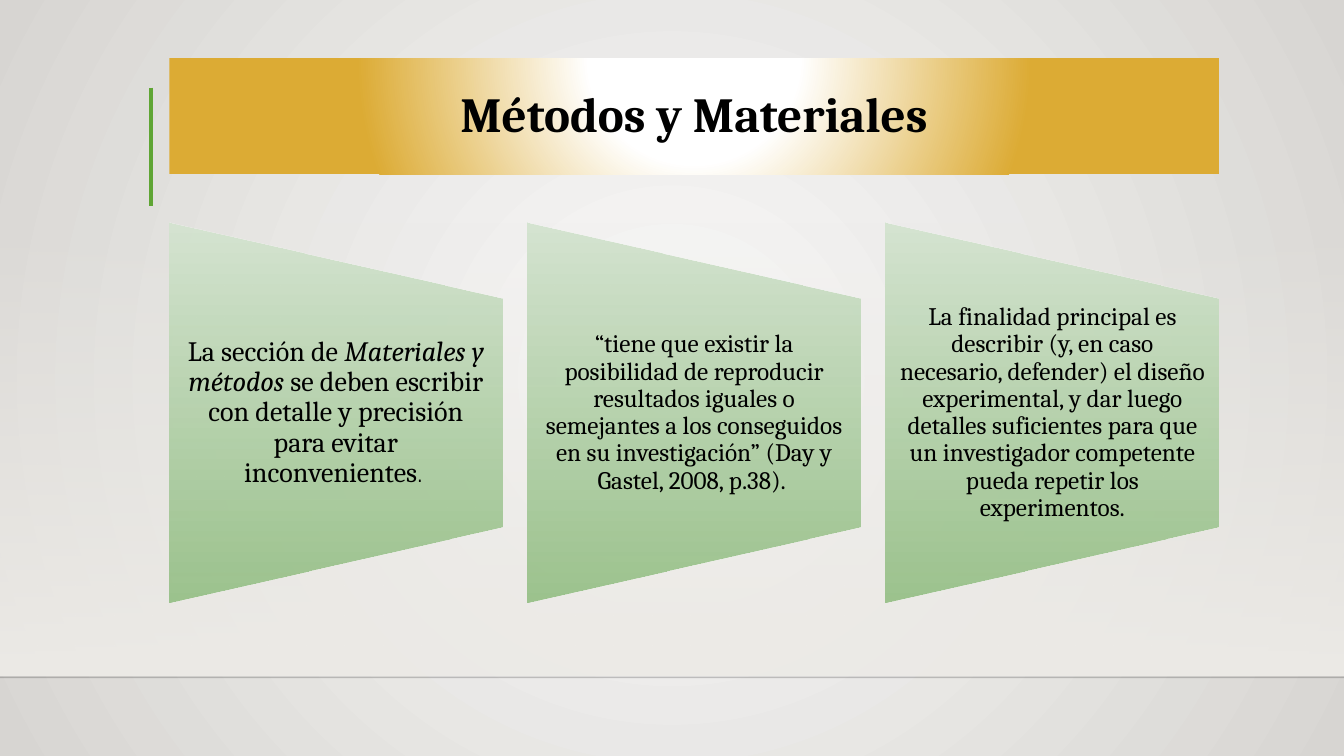
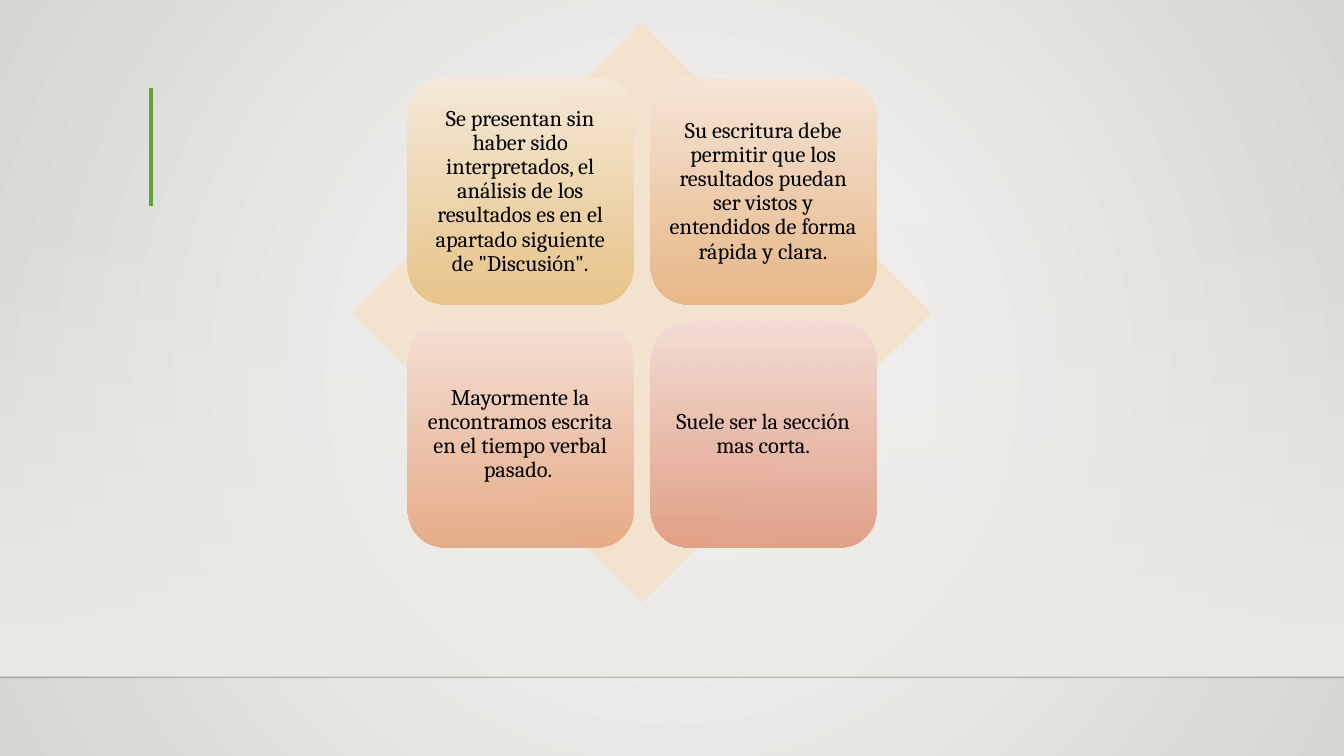
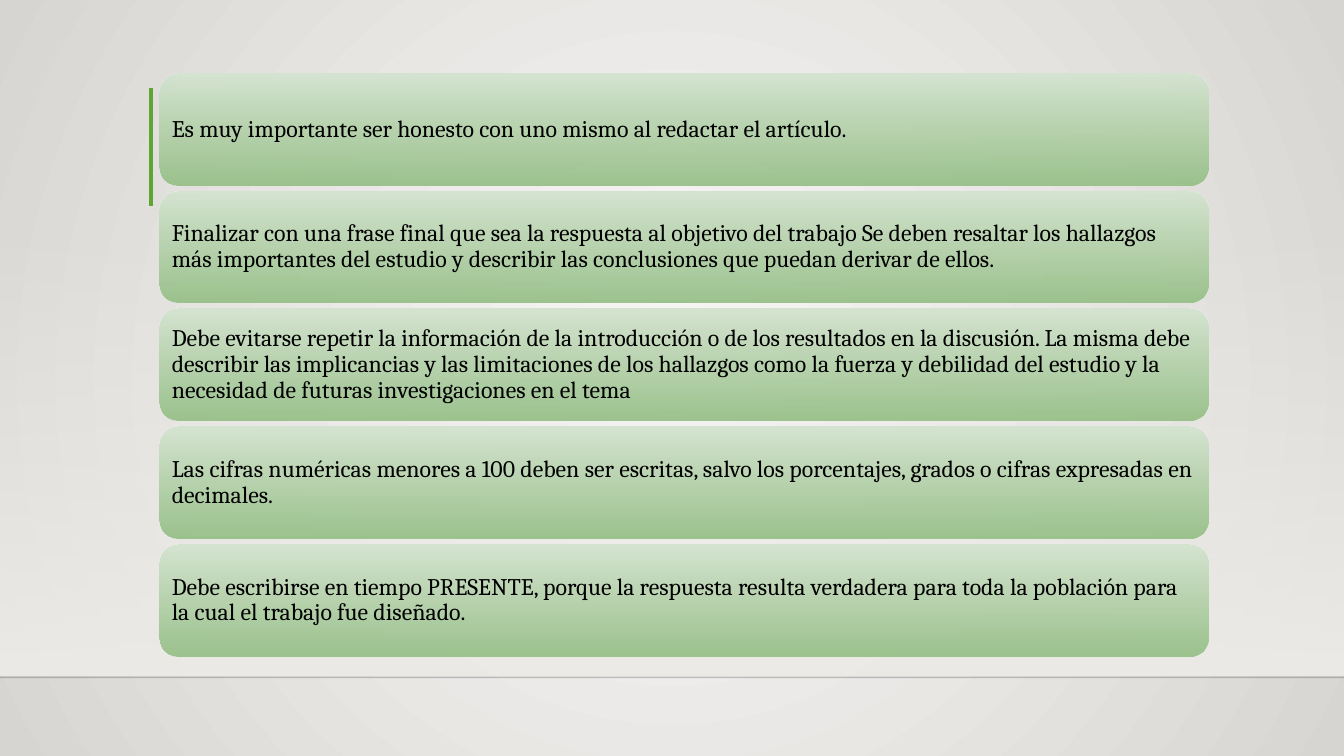
from lxml.etree import SubElement as Sub
from pptx import Presentation
from pptx.dml.color import RGBColor as Rgb
from pptx.enum.shapes import MSO_CONNECTOR as Conn, MSO_SHAPE as Kind
from pptx.enum.text import MSO_ANCHOR as Anchor, MSO_AUTO_SIZE as Fit, PP_ALIGN as Align
from pptx.oxml.ns import qn
from pptx.util import Inches, Pt

WIDE, HIGH = 13.33, 7.5
FONT = "Cambria"
HUES = {
    "ink": "000000", "rule": "000001", "bar": "5FA534", "cream": "F2E2CE",
    "white": "FFFFFF", "gold": "DCAB34", "veil": "EDEBE7",
    "pale": "FAFAF9", "grey": "D7D5D2",
}
FADES = {
    "green": ("D5E4D1", "96C087"),
    "amber": ("F6EAD9", "E8C385"),
    "tan": ("F6E6D8", "E8B583"),
    "peach": ("F5E1D7", "E6A882"),
    "rose": ("F3DDD6", "E19C82"),
}
CARDS = [
    (20, 0.14, [("La sección de ", {}), ("Materiales y métodos ", {"italic": True}),
                ("se deben escribir con detalle y precisión para evitar inconvenientes", {}),
                (". ", {"size": Pt(16), "name": "Arial Narrow"})]),
    (18, 0.12, [("“tiene que existir la posibilidad de reproducir resultados iguales o "
                 "semejantes a los conseguidos en su investigación” "
                 "(Day y Gastel, 2008, p.38). ", {})]),
    (18, 0.12, [("La finalidad principal es describir (y, en caso necesario, defender) "
                 "el diseño experimental, y dar luego detalles suficientes para que un "
                 "investigador competente pueda repetir los experimentos.", {})]),
]
TILES = [
    ("amber", "Se presentan sin haber sido interpretados, el análisis de los resultados "
              "es en el apartado siguiente de \"Discusión\"."),
    ("tan", "Su escritura debe permitir que los resultados puedan ser vistos y "
            "entendidos de forma rápida y clara."),
    ("peach", "Mayormente la encontramos escrita en el tiempo verbal pasado. "),
    ("rose", "Suele ser la sección mas corta."),
]
BANDS = [
    "Es muy importante ser honesto con uno mismo al redactar el artículo.",
    "Finalizar con una frase final que sea la respuesta al objetivo del trabajo Se deben "
    "resaltar los hallazgos más importantes del estudio y describir las conclusiones que "
    "puedan derivar de ellos.",
    "Debe evitarse repetir la información de la introducción o de los resultados en la "
    "discusión. La misma debe describir las implicancias y las limitaciones de los "
    "hallazgos como la fuerza y debilidad del estudio y la necesidad de futuras "
    "investigaciones en el tema",
    "Las cifras numéricas menores a 100 deben ser escritas, salvo los porcentajes, grados "
    "o cifras expresadas en decimales.",
    "Debe escribirse en tiempo PRESENTE, porque la respuesta resulta verdadera para toda "
    "la población para la cual el trabajo fue diseñado.",
]


def grid(left, top, wide, high, cols, rows, gap):
    w = (wide - gap * (cols - 1)) / cols
    h = (high - gap * (rows - 1)) / rows
    return [(left + c * (w + gap), top + r * (h + gap), w, h)
            for r in range(rows) for c in range(cols)]


def scale(box):
    return [Inches(v) for v in box]


def fade(host, fill, stops, focus=None):
    fill.gradient()
    grad = next(host.iter(qn("a:gradFill")))
    for child in list(grad):
        grad.remove(child)
    grad.set("rotWithShape", "0")
    group = Sub(grad, qn("a:gsLst"))
    for pos, hue, alpha in stops:
        stop = Sub(group, qn("a:gs"), pos=str(pos * 1000))
        tint = Sub(stop, qn("a:srgbClr"), val=hue)
        if alpha < 100:
            Sub(tint, qn("a:alpha"), val=str(alpha * 1000))
    if focus:
        ring = Sub(grad, qn("a:path"), path="circle")
        Sub(ring, qn("a:fillToRect"),
            {side: str(v * 1000) for side, v in zip("ltrb", focus)})
    else:
        Sub(grad, qn("a:lin"), ang="5400000", scaled="0")


def block(slide, kind, box):
    shape = slide.shapes.add_shape(kind, *scale(box))
    shape.shadow.inherit = False
    shape.line.fill.background()
    return shape


def tinted(slide, kind, box, name):
    shape = block(slide, kind, box)
    light, dark = FADES[name]
    fade(shape.element, shape.fill, [(0, light, 100), (100, dark, 92)])
    return shape


def write(shape, runs, size, pad, align=Align.CENTER, bold=False):
    frame = shape.text_frame
    frame.word_wrap = True
    frame.auto_size = Fit.NONE
    frame.vertical_anchor = Anchor.MIDDLE
    frame.margin_left = frame.margin_right = Inches(pad[0])
    frame.margin_top = frame.margin_bottom = Inches(pad[1])
    para = frame.paragraphs[0]
    para.alignment = align
    para.line_spacing = 0.9
    font = para.font
    font.name, font.size, font.bold = FONT, Pt(size), bold
    font.color.rgb = Rgb.from_string(HUES["ink"])
    for text, marks in runs:
        run = para.add_run()
        run.text = text
        for key, value in marks.items():
            setattr(run.font, key, value)


def rule(slide, ends, hue, width, alpha=100):
    line = slide.shapes.add_connector(Conn.STRAIGHT, *scale(ends))
    line.line.width = Pt(width)
    line.line.color.rgb = Rgb.from_string(HUES[hue])
    if alpha < 100:
        tint = next(line.element.iter(qn("a:srgbClr")))
        Sub(tint, qn("a:alpha"), val=str(alpha * 1000))
    Sub(line.element.spPr, qn("a:effectLst"))


def page(deck, layout):
    slide = deck.slides.add_slide(deck.slide_layouts[layout])
    veil = block(slide, Kind.RECTANGLE, (0, 2.2, WIDE, HIGH * 0.6))
    fade(veil.element, veil.fill, [(0, HUES["veil"], 0), (100, HUES["veil"], 100)])
    rule(slide, (0, 6.72, WIDE, 6.72), "rule", 1, 20)
    rule(slide, (1.5, 0.87, 1.5, 2.04), "bar", 3)
    return slide


def head(slide, text):
    title = slide.shapes.title
    title.left, title.top, title.width, title.height = scale((1.68, 0.58, 10.41, 1.15))
    stops = [(0, HUES["white"], 100), (20, HUES["white"], 100), (64, HUES["gold"], 100)]
    fade(title.element, title.fill, stops, (50, -80, 50, 180))
    write(title, [(text, {})], 35, (0.27, 0.27), bold=True)


def methods(deck):
    slide = page(deck, 5)
    head(slide, "Métodos y Materiales")
    cells = grid(1.68, 2.21, 10.41, 3.77, 3, 1, 0.25)
    for (x, y, w, h), (size, pad, runs) in zip(cells, CARDS):
        turned = (x + (w - h) / 2, y + (h - w) / 2, h, w)
        card = tinted(slide, Kind.FLOWCHART_MANUAL_OPERATION, turned, "green")
        card.rotation = 270
        note = slide.shapes.add_textbox(*scale((x, y + h * 0.2, w, h * 0.6)))
        write(note, runs, size, (pad, 0))


def results(deck):
    slide = page(deck, 6)
    gem = block(slide, Kind.DIAMOND, (3.49, 0.23, 5.75, 5.75))
    gem.fill.solid()
    gem.fill.fore_color.rgb = Rgb.from_string(HUES["cream"])
    for box, (name, text) in zip(grid(4.04, 0.78, 4.65, 4.65, 2, 2, 0.17), TILES):
        tile = tinted(slide, Kind.ROUNDED_RECTANGLE, box, name)
        write(tile, [(text, {})], 16, (0.07, 0.07))


def advice(deck):
    slide = page(deck, 6)
    for box, text in zip(grid(1.58, 0.73, 10.41, 5.78, 1, 5, 0.06), BANDS):
        band = tinted(slide, Kind.ROUNDED_RECTANGLE, box, "green")
        write(band, [(text, {})], 17, (0.07, 0.07), Align.LEFT)


def main():
    deck = Presentation()
    deck.slide_width, deck.slide_height = scale((WIDE, HIGH))
    master = deck.slide_master
    fade(master.element, master.background.fill,
         [(0, HUES["pale"], 100), (100, HUES["grey"], 100)], (50, 50, 50, 50))
    methods(deck)
    results(deck)
    advice(deck)
    deck.save("out.pptx")


if __name__ == "__main__":
    main()
